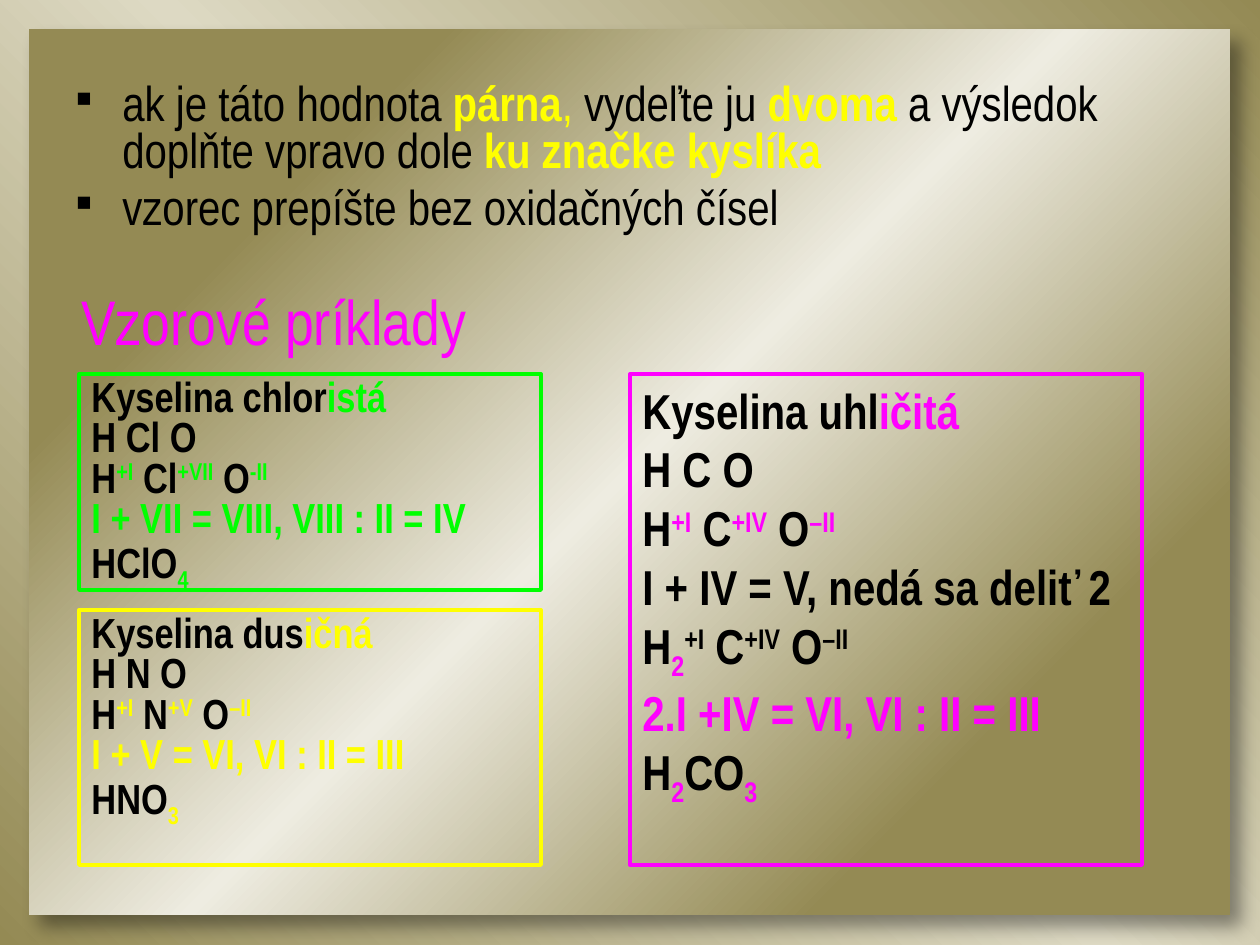
from lxml.etree import SubElement
from pptx import Presentation
from pptx.dml.color import RGBColor
from pptx.enum.shapes import MSO_SHAPE
from pptx.enum.text import MSO_ANCHOR, PP_ALIGN
from pptx.oxml import parse_xml
from pptx.oxml.ns import nsdecls, qn
from pptx.util import Emu, Pt

EMU_PER_PX = 914400 / 126
FONT = "Arial Narrow"
BLACK, GREEN, YELLOW, MAGENTA = "000000", "00FF00", "FFFF00", "FF00FF"
OLIVE, SAND, CREAM = "948A54", "DDD9C3", "EEECE1"
SUPER, SUB = 30000, -25000


def px(length):
    return Emu(round(length * EMU_PER_PX))


def colour(code):
    return RGBColor.from_string(code)


def gradient(fill, stops, angle):
    """Fill with (percent, colour) stops, turned clockwise by angle."""
    fill.gradient()
    grad = fill._fill._gradFill
    for child in list(grad):
        grad.remove(child)
    stop_xml = "".join(
        f'<a:gs pos="{percent * 1000}"><a:srgbClr val="{code}"/></a:gs>'
        for percent, code in stops)
    grad.append(parse_xml(f'<a:gsLst {nsdecls("a")}>{stop_xml}</a:gsLst>'))
    grad.append(parse_xml(
        f'<a:lin {nsdecls("a")} ang="{angle * 60000}" scaled="0"/>'))


def add_panel(page, area):
    panel = page.shapes.add_shape(MSO_SHAPE.RECTANGLE, *map(px, area))
    gradient(panel.fill, [(20, OLIVE), (50, CREAM), (80, OLIVE)], 45)
    panel.line.fill.background()
    panel.shadow.inherit = False
    effects = panel._element.spPr.find(qn("a:effectLst"))
    effects.append(parse_xml(
        f'<a:outerShdw {nsdecls("a")} blurRad="{Pt(10)}" dist="{Pt(10)}" '
        f'dir="{50 * 60000}" algn="tl" rotWithShape="0"><a:srgbClr val="{BLACK}">'
        '<a:alpha val="40000"/></a:srgbClr></a:outerShdw>'))


def add_bullet(para):
    properties = para._p.get_or_add_pPr()
    properties.set("marL", str(px(47)))
    properties.set("indent", str(-px(47)))
    SubElement(properties, qn("a:buFont"), typeface=FONT)
    SubElement(properties, qn("a:buChar"), char="▪")


def write(frame, paragraphs, size, bold=None, spacing=None, gap=0, bullet=False):
    """Each paragraph is a list of (text, colour, baseline shift, bold) spans."""
    frame.word_wrap = True
    frame.vertical_anchor = MSO_ANCHOR.TOP
    for index, spans in enumerate(paragraphs):
        para = frame.add_paragraph() if index else frame.paragraphs[0]
        para.alignment = PP_ALIGN.LEFT
        if bullet:
            add_bullet(para)
        if spacing:
            para.line_spacing = spacing
        if index and gap:
            para.space_before = Pt(gap)
        para.font.name, para.font.size, para.font.bold = FONT, Pt(size), bold
        for text, code, shift, strong in spans:
            span = para.add_run()
            span.text = text
            span.font.color.rgb = colour(code)
            if strong:
                span.font.bold = True
            if shift:
                span._r.get_or_add_rPr().set("baseline", str(shift))


def run(text, code=BLACK, shift=0, bold=False):
    return text, code, shift, bold


def add_text(page, area, paragraphs, size, **options):
    box = page.shapes.add_textbox(*map(px, area))
    write(box.text_frame, paragraphs, size, **options)


def add_example(page, area, accent, paragraphs, size, spacing=None):
    box = page.shapes.add_shape(MSO_SHAPE.RECTANGLE, *map(px, area))
    box.shadow.inherit = False
    box.fill.background()
    box.line.color.rgb = colour(accent)
    box.line.width = Pt(2.25)
    write(box.text_frame, paragraphs, size, bold=True, spacing=spacing)


def name_line(stem, ending, accent):
    return [run(stem), run(ending, accent)]


def charge_line(atoms, accent):
    """Atoms with their oxidation numbers raised."""
    return [part for atom, charge in atoms
            for part in (run(atom), run(charge, accent, SUPER))]


def short_example(stem, ending, atoms, sum_text, formula, count, accent):
    return [
        name_line(stem, ending, accent),
        [run("".join(atom for atom, _ in atoms))],
        charge_line(atoms, accent),
        [run(sum_text, accent)],
        [run(formula), run(count, accent, SUB)],
    ]


def main():
    deck = Presentation()
    deck.slide_width, deck.slide_height = px(1260), px(945)
    page = deck.slides.add_slide(deck.slide_layouts[6])

    # Background and raised panel
    gradient(page.background.fill, [(0, OLIVE), (50, SAND), (100, OLIVE)], 315)
    add_panel(page, (29, 29, 1201, 886))

    # Rules
    rules = [
        [run("ak je táto hodnota "), run("párna", YELLOW, bold=True),
         run(",", YELLOW), run(" vydeľte ju "), run("dvoma", YELLOW, bold=True),
         run(" a výsledok doplňte vpravo dole "),
         run("ku značke kyslíka", YELLOW, bold=True)],
        [run("vzorec prepíšte bez oxidačných čísel")],
    ]
    add_text(page, (63, 78, 1134, 765), rules, 28,
             spacing=0.8, gap=5.6, bullet=True)

    # Heading of the examples
    add_text(page, (69, 276, 571, 89), [[run("Vzorové príklady", MAGENTA)]], 36)

    # Left column
    chloric = short_example(
        "Kyselina chlor", "istá", [("H", "+I"), (" Cl", "+VII"), (" O", "-II")],
        "I + VII = VIII, VIII : II = IV", "HClO", "4", GREEN)
    nitric = short_example(
        "Kyselina dus", "ičná", [("H", "+I"), (" N", "+V"), (" O", "–II")],
        "I + V = VI, VI : II = III", "HNO", "3", YELLOW)
    add_example(page, (79, 374, 462, 216), GREEN, chloric, 24, 0.8)
    add_example(page, (79, 610, 462, 255), YELLOW, nitric, 24, 0.8)

    # Right column
    atoms = [("H", "+I"), (" C", "+IV"), (" O", "–II")]
    hydrogen_count = run("2", MAGENTA, SUB)
    doubled = charge_line(atoms, BLACK)
    doubled.insert(1, hydrogen_count)
    carbonic = [
        name_line("Kyselina uhl", "ičitá", MAGENTA),
        [run("H C O")],
        charge_line(atoms, MAGENTA),
        [run("I + IV = V, nedá sa deliť 2")],
        doubled,
        [run("2.I +IV = VI, VI : II = III", MAGENTA)],
        [run("H"), hydrogen_count, run("CO"), run("3", MAGENTA, SUB)],
    ]
    add_example(page, (630, 374, 512, 491), MAGENTA, carbonic, 28)

    deck.save("out.pptx")


if __name__ == "__main__":
    main()
